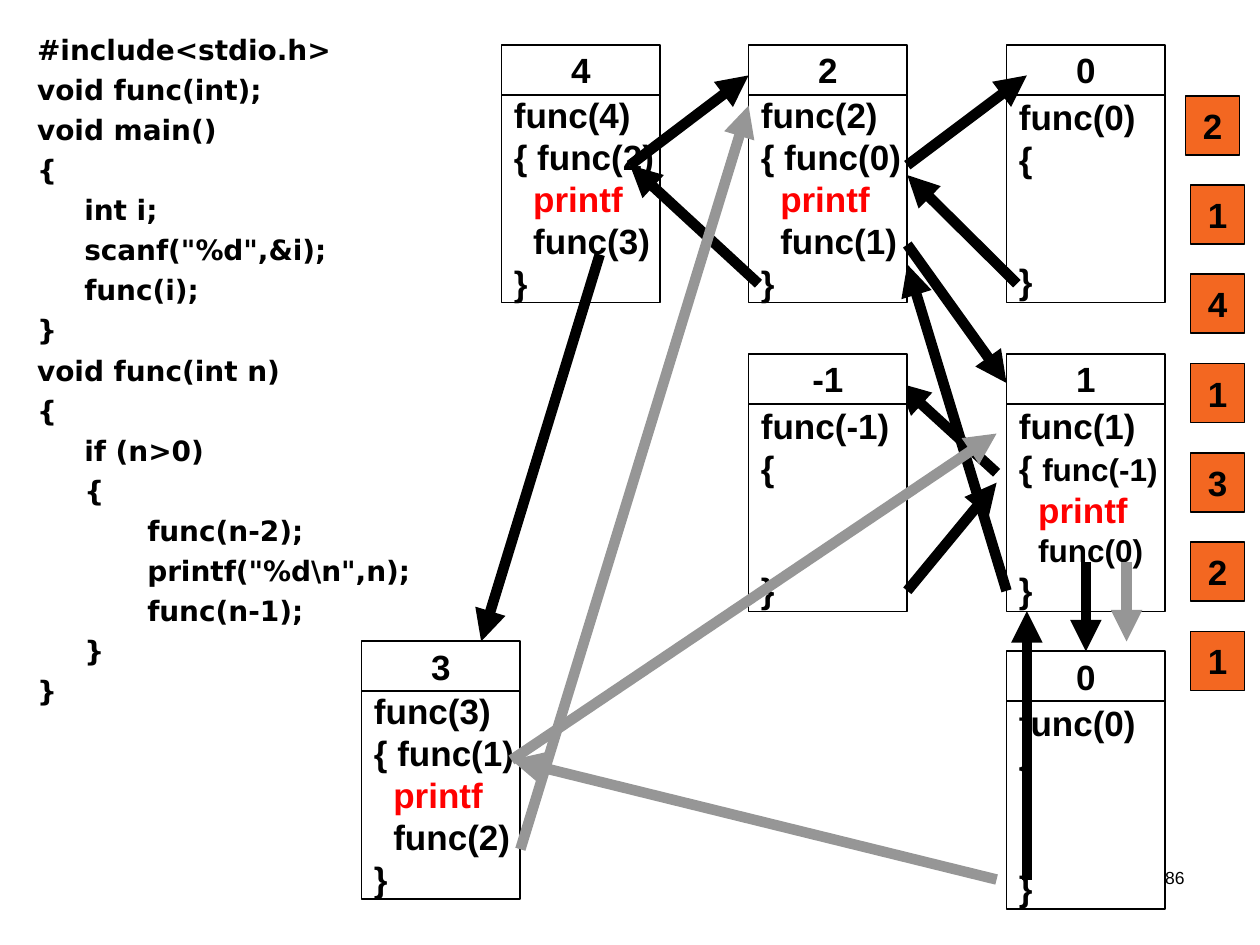
from lxml.etree import SubElement
from pptx import Presentation
from pptx.dml.color import RGBColor
from pptx.enum.shapes import MSO_CONNECTOR, MSO_SHAPE
from pptx.enum.text import MSO_ANCHOR, PP_ALIGN
from pptx.oxml.ns import qn
from pptx.util import Cm, Pt

COLORS = {"black": "000000", "white": "FFFFFF", "red": "FF0000",
          "gray": "969696", "orange": "F36721"}

CODE = [
    "#include<stdio.h>",
    "void func(int);",
    "void main()",
    "{",
    "\tint i;",
    '\tscanf("%d",&i);',
    "\tfunc(i);",
    "}",
    "void func(int n)",
    "{",
    "\tif (n>0)",
    "\t{",
    "\t\tfunc(n-2);",
    '\t\tprintf("%d\\n",n);',
    "\t\tfunc(n-1);",
    "\t}",
    "}",
]
PAGE_NUMBER = "86"
OUTPUT = [2, 1, 4, 1, 3, 2, 1]

# Stack frames: argument, left, top, font size of the inner calls
FRAMES = [
    (4, 10.11, 0.91, 20),
    (2, 15.09, 0.91, 20),
    (0, 20.29, 0.91, 20),
    (1, 20.29, 7.14, 18),
    (-1, 15.09, 7.14, 20),
    (3, 7.29, 12.93, 20),
    (0, 20.29, 13.13, 20),
]
FRAME_WIDTH, HEADER_HEIGHT, BODY_HEIGHT = 3.2, 1, 4.19

# Arrows: start x, start y, end x, end y
ARROW_BEHIND = (20.09, 9.53, 18.11, 7.72)
ARROW_TO_LAST_FRAME = (21.89, 11.33, 21.89, 13.13)
ARROWS = {
    "black": [
        (12.7, 3.33, 15.09, 1.52),
        (18.29, 3.33, 20.7, 1.52),
        (20.5, 5.72, 18.29, 3.53),
        (18.29, 4.93, 20.29, 7.72),
        (18.29, 11.91, 20.09, 9.73),
        (20.7, 17.73, 20.7, 12.32),
        (20.29, 11.91, 18.29, 5.33),
        (15.29, 5.72, 12.7, 3.33),
        (12.09, 5.13, 9.7, 12.93),
    ],
    "gray": [
        (10.31, 15.32, 20.09, 8.74),
        (22.71, 11.33, 22.71, 12.93),
        (20.09, 17.73, 10.31, 15.32),
        (10.49, 17.12, 15.09, 2.13),
    ],
}


def rgb(name):
    return RGBColor.from_string(COLORS[name])


def format_run(run, size, color="black", font="Arial", bold=True):
    run.font.name = font
    run.font.size = Pt(size)
    run.font.bold = bold
    run.font.color.rgb = rgb(color)


def add_box(slide, left, top, width, height, fill="white"):
    box = slide.shapes.add_shape(
        MSO_SHAPE.RECTANGLE, Cm(left), Cm(top), Cm(width), Cm(height))
    box.shadow.inherit = False
    box.fill.solid()
    box.fill.fore_color.rgb = rgb(fill)
    box.line.color.rgb = rgb("black")
    box.line.width = Pt(1)
    frame = box.text_frame
    frame.vertical_anchor = MSO_ANCHOR.MIDDLE
    frame.margin_top = frame.margin_bottom = frame.margin_right = 0
    return box


def add_number_box(slide, number, *place, fill="white"):
    box = add_box(slide, *place, fill=fill)
    box.text_frame.margin_left = 0
    box.text_frame.text = str(number)
    paragraph = box.text_frame.paragraphs[0]
    paragraph.alignment = PP_ALIGN.CENTER
    format_run(paragraph.runs[0], 20)
    return box


def body_lines(n, call_size):
    """Lines of one call, each as (indent, space before, runs)."""
    first = (0, 0, [(f"func({n})", 20, "black")])
    if n <= 0:
        return [first, (0, 0, [("{", 20, "black")]),
                (0, 46, [("}", 20, "black")])]
    return [
        first,
        (0, 0, [("{ ", 20, "black"), (f"func({n - 2})", call_size, "black")]),
        (0.39, 0, [("printf", 20, "red")]),
        (0.39, 0, [(f"func({n - 1})", call_size, "black")]),
        (0, 0, [("}", 20, "black")]),
    ]


def add_stack_frame(slide, n, left, top, call_size):
    header = add_number_box(slide, n, left, top, FRAME_WIDTH, HEADER_HEIGHT)
    body = add_box(slide, left, top + HEADER_HEIGHT, FRAME_WIDTH, BODY_HEIGHT)
    text_frame = body.text_frame
    for index, (indent, space, runs) in enumerate(body_lines(n, call_size)):
        paragraph = text_frame.add_paragraph() if index else text_frame.paragraphs[0]
        paragraph.alignment = PP_ALIGN.LEFT
        paragraph.space_before = Pt(space)
        paragraph._p.get_or_add_pPr().set("marL", str(Cm(indent)))
        for text, size, color in runs:
            run = paragraph.add_run()
            run.text = text
            format_run(run, size, color)
    return header


def add_arrow(slide, color, points):
    arrow = slide.shapes.add_connector(
        MSO_CONNECTOR.STRAIGHT, *(Cm(value) for value in points))
    arrow.line.color.rgb = rgb(color)
    arrow.line.width = Pt(6)
    SubElement(arrow.line._get_or_add_ln(), qn("a:tailEnd"), type="triangle")
    SubElement(arrow._element.spPr, qn("a:effectLst"))
    return arrow


def add_text(slide, left, top, width, height, text):
    box = slide.shapes.add_textbox(Cm(left), Cm(top), Cm(width), Cm(height))
    box.text_frame.word_wrap = True
    box.text_frame.text = text
    return box.text_frame.paragraphs


def main():
    presentation = Presentation()
    presentation.slide_width, presentation.slide_height = Cm(25.4), Cm(19.05)
    slide = presentation.slides.add_slide(presentation.slide_layouts[6])

    page_number = add_text(slide, 18.2, 17.35, 5.93, 1.27, PAGE_NUMBER)[0]
    page_number.alignment = PP_ALIGN.RIGHT
    format_run(page_number.runs[0], 10, bold=False)

    for paragraph in add_text(slide, 0.5, 0.53, 9.2, 14.99, "\n".join(CODE)):
        paragraph.space_before = Pt(3.7)
        properties = paragraph._p.get_or_add_pPr()
        properties.set("marL", str(Cm(0.95)))
        properties.set("indent", str(Cm(-0.95)))
        format_run(paragraph.runs[0], 16, font="DejaVu Sans")

    add_arrow(slide, "black", ARROW_BEHIND)
    headers = [add_stack_frame(slide, *frame) for frame in FRAMES]
    add_arrow(slide, "black", ARROW_TO_LAST_FRAME).end_connect(headers[-1], 0)
    for color, arrows in ARROWS.items():
        for points in arrows:
            add_arrow(slide, color, points)

    for index, number in enumerate(OUTPUT):
        left = 24 if index else 23.9
        add_number_box(slide, number, left, 1.93 + 1.8 * index, 1.09, 1.19,
                       fill="orange")

    presentation.save("out.pptx")


if __name__ == "__main__":
    main()
